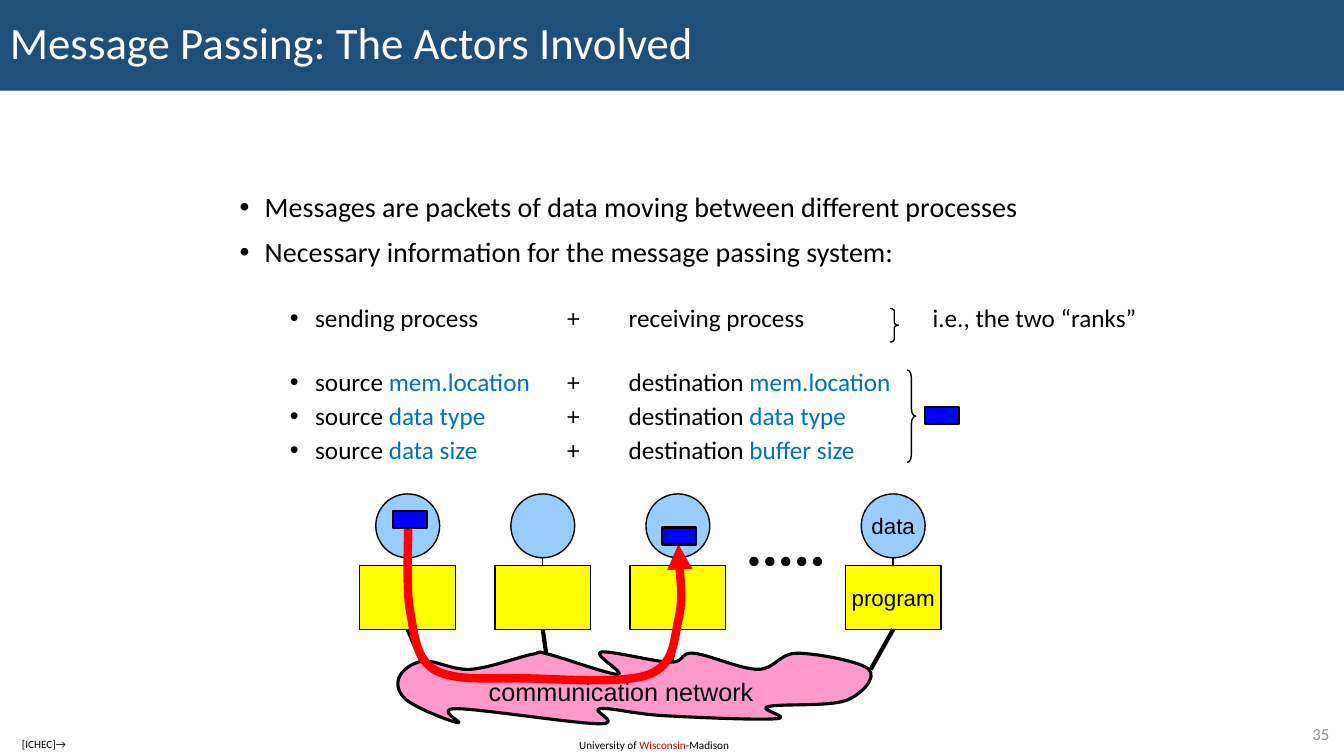
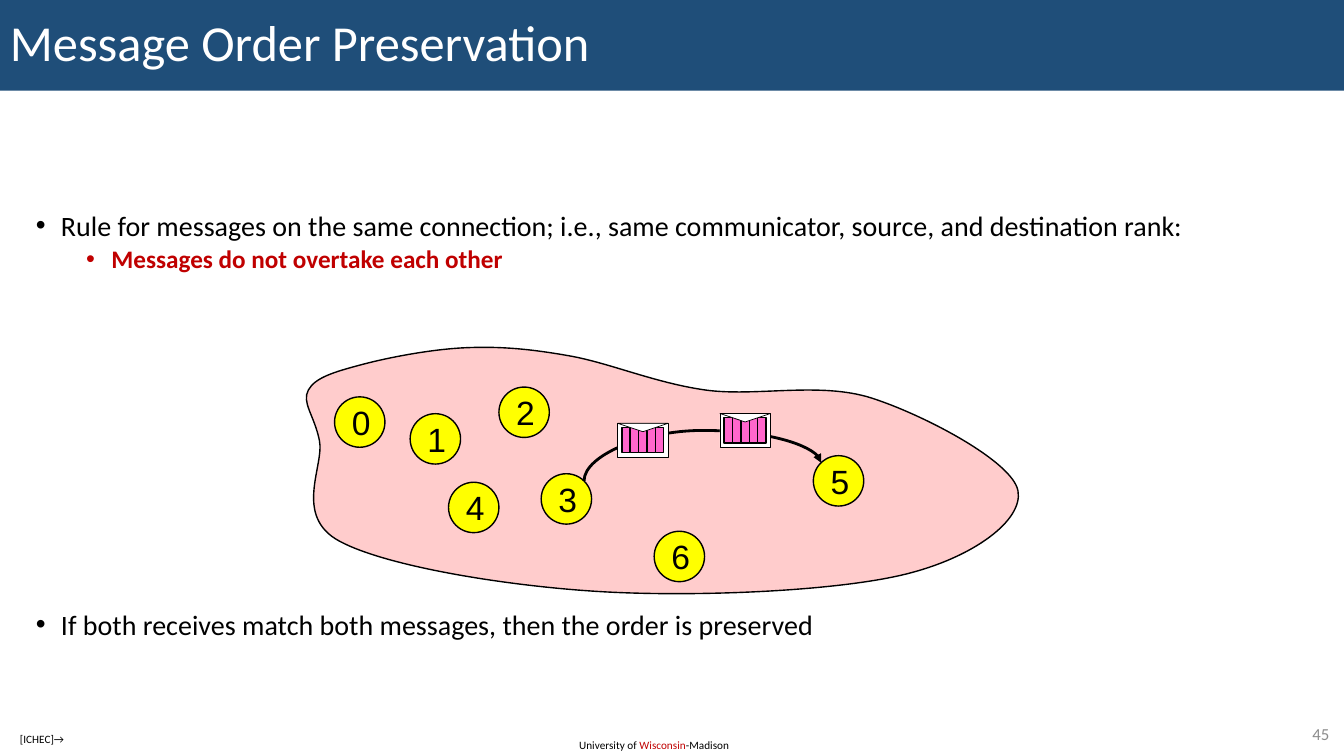
"""Build two lecture slides on message passing."""
from lxml import etree
from pptx import Presentation
from pptx.dml.color import RGBColor
from pptx.enum.shapes import MSO_CONNECTOR, MSO_SHAPE
from pptx.enum.text import MSO_ANCHOR, PP_ALIGN
from pptx.oxml.ns import qn
from pptx.util import Pt

RECT, OVAL, BRACE = MSO_SHAPE.RECTANGLE, MSO_SHAPE.OVAL, MSO_SHAPE.RIGHT_BRACE
STRAIGHT, CURVE = MSO_CONNECTOR.STRAIGHT, MSO_CONNECTOR.CURVE
TOP, MIDDLE = MSO_ANCHOR.TOP, MSO_ANCHOR.MIDDLE
LEFT, CENTER, RIGHT = PP_ALIGN.LEFT, PP_ALIGN.CENTER, PP_ALIGN.RIGHT

BLACK = RGBColor(0x00, 0x00, 0x00)
WHITE = RGBColor(0xFF, 0xFF, 0xFF)
NAVY = RGBColor(0x1F, 0x4E, 0x79)
GRAY = RGBColor(0x8C, 0x8C, 0x8C)
CRIMSON = RGBColor(0xC0, 0x00, 0x00)
AZURE = RGBColor(0x00, 0x70, 0xC0)
BLUE = RGBColor(0x00, 0x00, 0xFF)
SKY = RGBColor(0x99, 0xCC, 0xFF)
YELLOW = RGBColor(0xFF, 0xFF, 0x00)
RED = RGBColor(0xFF, 0x00, 0x00)
PINK = RGBColor(0xFF, 0x99, 0xCC)
ROSE = RGBColor(0xFF, 0xCC, 0xCC)
MAGENTA = RGBColor(0xFF, 0x66, 0xCC)

WIDTH, HEIGHT = 960, 540
TABS = (234, 278, 495)
NOTE = {"name": "Calibri", "size": Pt(8)}
PAGE = {"name": "Calibri", "size": Pt(12)}
BODY = ({"name": "Calibri", "size": Pt(20)}, {"name": "Calibri", "size": Pt(18)})
LABEL = {"name": "Arial", "size": Pt(16)}
CLOUD = {"name": "Arial", "size": Pt(18)}
RANK = {"name": "Arial", "size": Pt(24)}

NETWORK = [
    (302.4, 472.3), (336.2, 478.1), (380.2, 467.3), (391.7, 467.3), (441.4, 481.7),
    (429.1, 465.8), (478.8, 473), (495.4, 466.6), (541.4, 478.1), (569.5, 466.6),
    (620.6, 478.1), (604.1, 500.4), (548.6, 504.7), (554.4, 513.4), (473.8, 511.2),
    (428.4, 506.2), (428.4, 517), (326.2, 506.2), (326.9, 516.2), (290.9, 500.4),
    (285.1, 483.8)]
ROUTE = [
    (291.6, 375.8), (293, 437), (311, 478.8), (376.6, 484.6), (463.7, 481.7),
    (484.6, 442.8), (484.6, 388.8)]
REGION = [
    (257.8, 260.6), (332.6, 248.4), (406.8, 254.2), (504, 278.6), (622.8, 284.4),
    (727.2, 350.6), (645.8, 410.4), (429.1, 422.6), (242.6, 386.6), (228.2, 314.6),
    (220.3, 278.6)]
RANKS = [(239, 283.5), (293, 295.5), (356.4, 276.5), (386.6, 338.4),
         (320.4, 344.5), (581, 325.5), (467.3, 379.5)]


def put(item, values):
    """Set each attribute of item from values."""
    for name, value in values.items():
        setattr(item, name, value)


def write(para, runs, look):
    """Add coloured runs to a paragraph."""
    for text, color in runs:
        run = para.add_run()
        run.text = text
        put(run.font, look)
        run.font.color.rgb = color


def frame(shape, runs, look, align=LEFT, anchor=TOP, wrap=True):
    """Fill the text frame of a shape with one paragraph."""
    put(shape.text_frame, {"word_wrap": wrap, "vertical_anchor": anchor})
    para = shape.text_frame.paragraphs[0]
    para.alignment = align
    write(para, runs, look)


def label(slide, box, runs, look, **rest):
    """Add a text box with one paragraph."""
    frame(slide.shapes.add_textbox(*map(Pt, box)), runs, look, **rest)


def paint(shape, fill, line, weight):
    """Set fill and outline, where None means none."""
    shape.shadow.inherit = False
    if fill is None:
        shape.fill.background()
    else:
        shape.fill.solid()
        shape.fill.fore_color.rgb = fill
    if line is None:
        shape.line.fill.background()
    else:
        shape.line.color.rgb = line
        shape.line.width = Pt(weight)
    return shape


def draw(slide, kind, box, fill=None, line=BLACK, weight=1):
    """Add a preset shape."""
    return paint(slide.shapes.add_shape(kind, *map(Pt, box)), fill, line, weight)


def trace(slide, dots, closed, fill, line=BLACK, weight=1):
    """Add a freeform through the given points."""
    dots = [(Pt(x), Pt(y)) for x, y in dots]
    pen = slide.shapes.build_freeform(*dots[0], scale=1.0)
    pen.add_line_segments(dots[1:], close=closed)
    return paint(pen.convert_to_shape(), fill, line, weight)


def spline(slide, knots, closed, *style):
    """Add a smooth freeform of Bezier arcs through the knots."""
    count = len(knots)

    def knot(i):
        """Return a knot, wrapped or held at the ends."""
        return knots[i % count if closed else min(max(i, 0), count - 1)]

    dots = [knots[0]]
    for i in range(count if closed else count - 1):
        (ax, ay), (bx, by), (cx, cy), (dx, dy) = [knot(i + j) for j in (-1, 0, 1, 2)]
        dots += [(bx + (cx - ax) / 6, by + (cy - ay) / 6),
                 (cx - (dx - bx) / 6, cy - (dy - by) / 6), (cx, cy)]
    shape = trace(slide, dots, closed, *style)
    parts = list(shape.element.spPr.iter(qn("a:lnTo")))
    for i in range(0, len(parts), 3):
        arc = etree.Element(qn("a:cubicBezTo"))
        parts[i].addprevious(arc)
        for part in parts[i:i + 3]:
            arc.append(part[0])
            part.getparent().remove(part)
    return shape


def link(slide, start, end, weight, kind=STRAIGHT):
    """Add a black connector without shadow."""
    line = slide.shapes.add_connector(kind, *map(Pt, start + end))
    line.line.color.rgb = BLACK
    line.line.width = Pt(weight)
    etree.SubElement(line.element.spPr, qn("a:effectLst"))
    return line


def arrow(shape):
    """Put an arrowhead at the end of a line."""
    line = shape.element.spPr.find(qn("a:ln"))
    etree.SubElement(line, qn("a:tailEnd"), type="triangle")


def bullets(slide, box, lines, spacing, tabs=()):
    """Add a bulleted list of (level, gap, runs) lines."""
    text = slide.shapes.add_textbox(*map(Pt, box)).text_frame
    text.word_wrap = True
    for i, (level, gap, runs) in enumerate(lines):
        para = text.add_paragraph() if i else text.paragraphs[0]
        put(para, {"level": level, "line_spacing": spacing, "space_before": Pt(gap)})
        write(para, runs, BODY[level])
        props = para._p.get_or_add_pPr()
        props.set("marL", str(Pt(18 + 36 * level)))
        props.set("indent", str(Pt(-18)))
        etree.SubElement(props, qn("a:buFont"), typeface="Arial")
        etree.SubElement(props, qn("a:buChar"), char="•")
        if tabs:
            stops = etree.SubElement(props, qn("a:tabLst"))
            for stop in tabs:
                etree.SubElement(stops, qn("a:tab"), pos=str(Pt(stop)), algn="l")
    return text


def base(deck, title, size, page, credit):
    """Add a slide with title band, footer and page number."""
    slide = deck.slides.add_slide(deck.slide_layouts[6])
    label(slide, (406.6, 523.8, 123.8, 17),
          [("University of ", BLACK), ("Wisconsin", CRIMSON), ("-Madison", BLACK)], NOTE)
    band = draw(slide, RECT, (0, 0, WIDTH, 64.8), NAVY, None)
    frame(band, [(title, WHITE)], {"name": "Calibri", "size": Pt(size)}, anchor=MIDDLE)
    band.text_frame.paragraphs[0].line_spacing = 0.9
    label(slide, (902, 513.4, 54.7, 21), [(page, GRAY)], PAGE, align=RIGHT, anchor=MIDDLE)
    label(slide, (*credit, 52, 17), [("[ICHEC]→", BLACK)], NOTE)
    return slide


def node(slide, left, data="", code=""):
    """Add a process: data circle above a program box."""
    disc = draw(slide, OVAL, (left + 11.4, 352.8, 45.6, 45.6), SKY)
    box = draw(slide, RECT, (left, 404, 68.4, 45.6), YELLOW)
    for shape, text in ((disc, data), (box, code)):
        if text:
            frame(shape, [(text, BLACK)], LABEL, CENTER, MIDDLE, False)
    mid = left + 34.2
    link(slide, (mid, 398.4), (mid, 404), 1).end_connect(box, 0)
    return box


def packet(slide, left, top):
    """Add a small blue data packet."""
    draw(slide, RECT, (left, top, 24, 12.2), BLUE, weight=1.5)


def letter(slide, left, top):
    """Add an envelope with striped content."""
    draw(slide, RECT, (left, top, 36, 24), WHITE, weight=0.5)
    for i in range(5):
        draw(slide, RECT, (left + 3 + 6 * i, top + 3, 6, 18), MAGENTA)
    trace(slide, [(left, top), (left + 18, top + 6), (left + 36, top)], True, WHITE,
          weight=0.5)


def actors(deck):
    """Build the slide on the actors."""
    slide = base(deck, "Message Passing: The Actors Involved", 32, "35", (8.6, 523.2))
    lines = [
        (0, 10, [("Messages are packets of data moving between different processes", BLACK)]),
        (0, 10.5, [("Necessary information for the message passing system:", BLACK)]),
        (1, 26.5, [("sending process\t+\treceiving process\ti.e., the two “ranks”", BLACK)])]
    pairs = [("mem.location", "mem.location"), ("data type", "data type"),
             ("data size", "buffer size")]
    for i, (source, target) in enumerate(pairs):
        lines.append((1, 5 if i else 26, [
            ("source ", BLACK), (source + "\t", AZURE),
            ("+\tdestination ", BLACK), (target, AZURE)]))
    bullets(slide, (164, 134.6, 666, 203.8), lines, 0.9, TABS)

    boxes = [node(slide, left) for left in (257, 353.5, 450)]
    boxes.append(node(slide, 603.8, "data", "program"))
    for i in range(5):
        draw(slide, OVAL, (535.7 + 11.35 * i, 398.2, 5.7, 5.7), BLACK)
    spline(slide, NETWORK, True, PINK, BLACK, 2.25)
    ends = [(301, 472.3), (390.2, 467.3), (479.5, 473), (622, 478.1)]
    for box, end in zip(boxes, ends):
        link(slide, (0, 0), end, 3).begin_connect(box, 2)
    arrow(spline(slide, ROUTE, False, None, RED, 6))
    label(slide, (342, 479.8, 205.2, 29.5), [("communication network", BLACK)], CLOUD,
          wrap=False)
    for spot in ((280.8, 365), (473, 376.8), (660.8, 290.9)):
        packet(slide, *spot)
    for box, bend in (((635.8, 220.3, 6, 24), 0.33), ((648, 264.2, 6, 66.2), 0.92)):
        draw(slide, BRACE, box).adjustments[0] = bend


def order(deck):
    """Build the slide on message order."""
    slide = base(deck, "Message Order Preservation", 36, "45", (7.2, 519.8))
    rule = ("Rule for messages on the same connection; "
            "i.e., same communicator, source, and destination rank:")
    last = "If both receives match both messages, then the order is preserved"
    text = bullets(slide, (18.5, 149.8, 941.5, 360), [
        (0, 10, [(rule, BLACK)]),
        (1, 5.5, [("Messages do not overtake each other", CRIMSON)]),
        (0, 243, [(last, BLACK)])], 0.8)
    text.paragraphs[1].runs[0].font.bold = True

    spline(slide, REGION, True, ROSE)
    for i, spot in enumerate(RANKS):
        disc = draw(slide, OVAL, (*spot, 36, 36), YELLOW)
        frame(disc, [(str(i), BLACK)], RANK, LEFT, MIDDLE, False)
    path = link(slide, (495.4, 252.3), (508.3, 421.6), 2, CURVE)
    shape = path.element.spPr
    shape.find(qn("a:xfrm")).set("rot", str(270 * 60000))
    guides = shape.find(qn("a:prstGeom")).find(qn("a:avLst"))
    etree.SubElement(guides, qn("a:gd"), name="adj1", fmla="val 278800")
    arrow(path)
    for spot in ((441.2, 302.4), (514.3, 295.4)):
        letter(slide, *spot)


def main():
    """Build and save the deck."""
    deck = Presentation()
    put(deck, {"slide_width": Pt(WIDTH), "slide_height": Pt(HEIGHT)})
    actors(deck)
    order(deck)
    deck.save("out.pptx")


if __name__ == "__main__":
    main()
